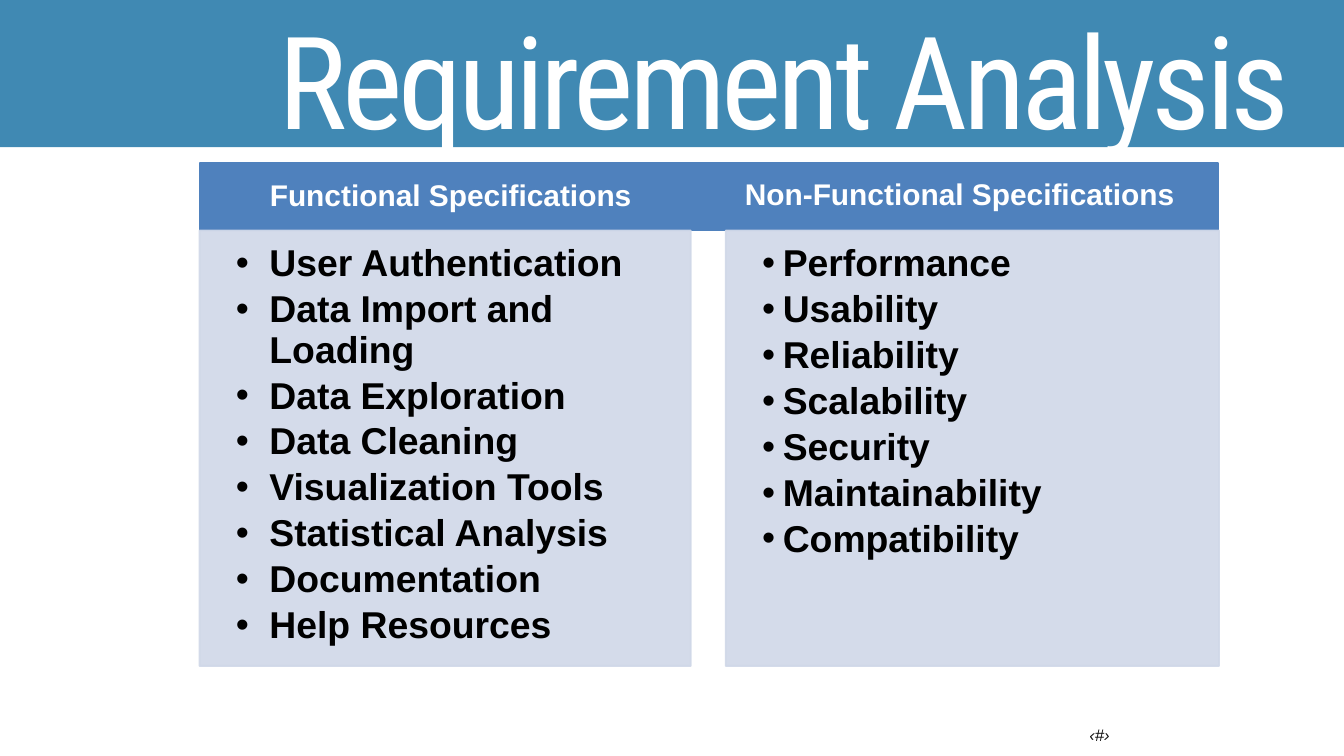
import lxml.etree
import pptx
import pptx.dml.color
import pptx.enum.shapes
import pptx.enum.text
import pptx.oxml.ns
import pptx.util

Inches = pptx.util.Inches
Pt = pptx.util.Pt
qn = pptx.oxml.ns.qn
ALIGN = pptx.enum.text.PP_ALIGN
ANCHOR = pptx.enum.text.MSO_ANCHOR

TOP, HIGH = 3.43, 6.48  # both list panels
HEAD = {"size": Pt(32), "bold": True, "name": "Arial"}
ITEM = {"size": Pt(40), "bold": True, "name": "Arial"}
TITLE = {"size": Pt(138), "name": "Roboto Condensed"}
PAGE = {"size": Pt(18), "italic": True, "name": "Arial"}

# Heading, heading box, panel left and width, indent, items
LISTS = [
    ("Functional Specifications", (2.97, 2.43, 7.48, 1), 2.97, 7.31, 0.5,
     ["User Authentication", "Data Import and Loading", "Data Exploration",
      "Data Cleaning", "Visualization Tools", "Statistical Analysis",
      "Documentation", "Help Resources"]),
    ("Non-Functional Specifications", (10.45, 2.42, 7.67, 1), 10.8, 7.34, 0.31,
     ["Performance", "Usability", "Reliability", "Scalability", "Security",
      "Maintainability", "Compatibility"]),
]


def color(code):
    return pptx.dml.color.RGBColor.from_string(code)


def apply(target, values):
    for name, value in values.items():
        setattr(target, name, value)


def add_rect(slide, box, code, edge=True, alpha=None):
    kind = pptx.enum.shapes.MSO_SHAPE.RECTANGLE
    shape = slide.shapes.add_shape(kind, *map(Inches, box))
    shape.shadow.inherit = False
    shape.fill.solid()
    shape.fill.fore_color.rgb = color(code)
    if edge:
        shape.line.width = Pt(2)
        shape.line.color.rgb = color(code)
    else:
        shape.line.fill.background()
    if alpha:
        for node in shape.fill._xPr.iter(qn("a:srgbClr")):
            lxml.etree.SubElement(node, qn("a:alpha"), val=str(alpha * 1000))
    return shape


def set_frame(shape, insets, anchor=ANCHOR.TOP):
    names = ("margin_left", "margin_top", "margin_right", "margin_bottom")
    frame = shape.text_frame
    apply(frame, dict(zip(names, map(Inches, insets))))
    apply(frame, {"word_wrap": True, "vertical_anchor": anchor})
    return frame


def add_text(slide, box, insets):
    return set_frame(slide.shapes.add_textbox(*map(Inches, box)), insets)


def add_run(para, text, font, code, space=0):
    run = para.add_run()
    run.text = text
    apply(run.font, font)
    run.font.color.rgb = color(code)
    if space:
        run.font._element.set("spc", str(round(space * 100)))


def set_indent(para, left, first=0):
    props = para._p.get_or_add_pPr()
    props.set("marL", str(Inches(left)))
    props.set("indent", str(Inches(first)))
    return props


def add_head(slide, text, box):
    shape = add_rect(slide, box, "4F81BD")
    frame = set_frame(shape, (0.28, 0.16, 0.28, 0.16), ANCHOR.MIDDLE)
    para = frame.paragraphs[0]
    apply(para, {"alignment": ALIGN.CENTER, "line_spacing": 0.9})
    add_run(para, text, HEAD, "FFFFFF")


def add_list(slide, left, width, indent, items):
    add_rect(slide, (left, TOP, width, HIGH), "D0D8E8", alpha=90)
    box = (left + 0.33, TOP, width, HIGH)
    frame = add_text(slide, box, (0.21, 0.21, 0.28, 0.32))
    for i, item in enumerate(items):
        para = frame.add_paragraph() if i else frame.paragraphs[0]
        apply(para, {"level": 1, "line_spacing": 0.9, "space_after": Pt(6)})
        props = set_indent(para, indent, -indent)
        lxml.etree.SubElement(props, qn("a:buFont"), typeface="Arial")
        lxml.etree.SubElement(props, qn("a:buChar"), char="•")
        add_run(para, item, ITEM, "000000")


def add_line(slide, box, before, parts, font, code):
    para = add_text(slide, box, (0, 0.01, 0, 0)).paragraphs[0]
    set_indent(para, 0.01)
    para.space_before = Pt(before)
    for text, space in parts:
        add_run(para, text, font, code, space)


def main():
    deck = pptx.Presentation()
    apply(deck, {"slide_width": Inches(20), "slide_height": Inches(11.25)})
    slide = deck.slides.add_slide(deck.slide_layouts[6])

    # Title band
    add_rect(slide, (0, 0, 20, 2.19), "4089B3", edge=False)
    add_line(slide, (4.14, 0, 15.86, 2.34), 1.1,
             [("Requirement Analysis", -5)], TITLE, "FFFFFF")

    # Page mark
    add_line(slide, (16.2, 10.78, 0.33, 0.33), 1,
             [("‹", 0), ("#", -0.3), ("›", 0)], PAGE, "0C0C0C")

    # Headed lists
    for text, box, left, width, indent, items in LISTS:
        add_head(slide, text, box)
        add_list(slide, left, width, indent, items)

    deck.save("out.pptx")


if __name__ == "__main__":
    main()
